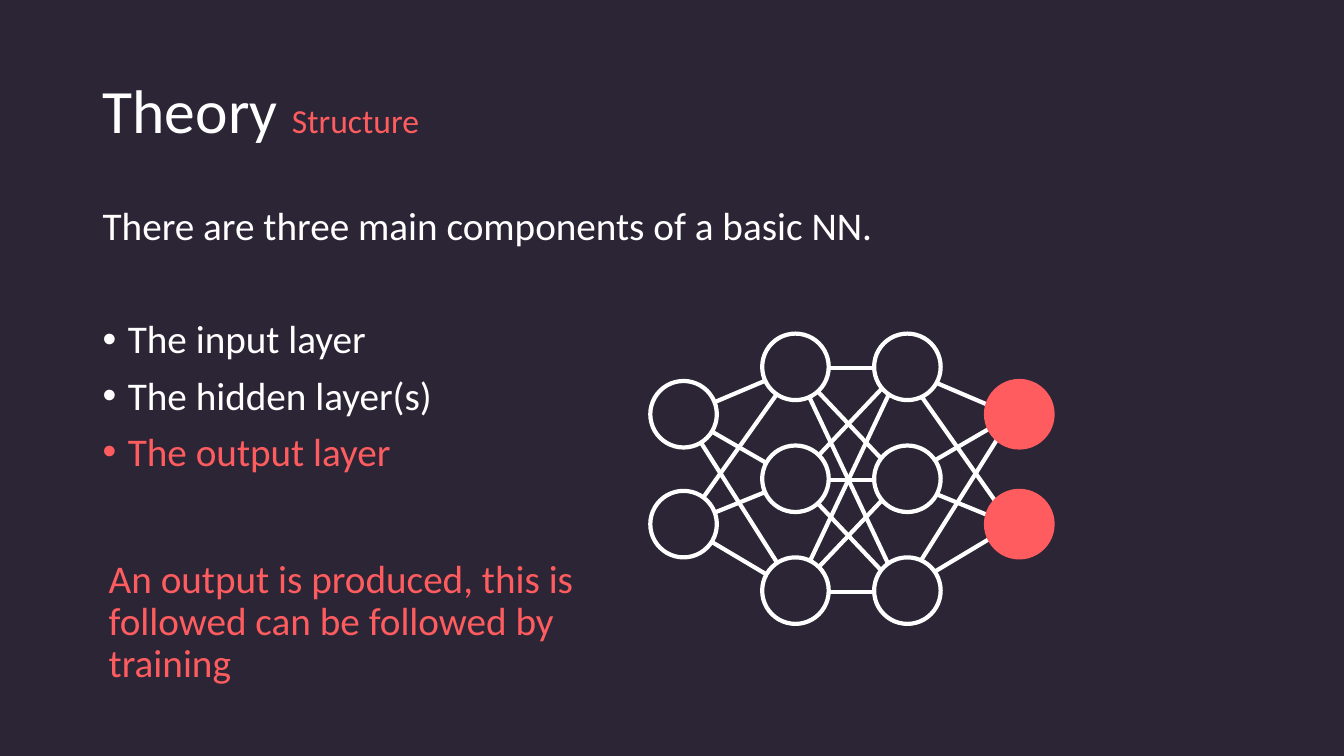
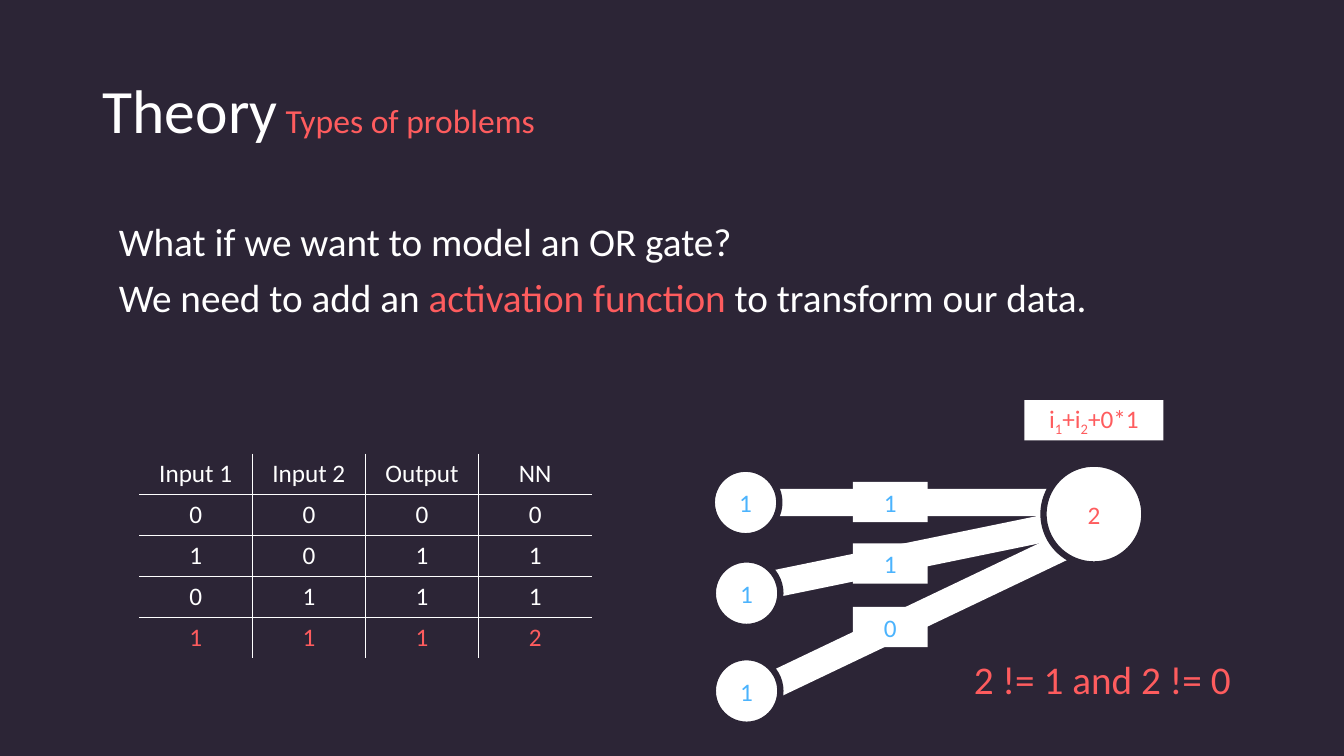
from itertools import product

from lxml.etree import SubElement
from pptx import Presentation
from pptx.dml.color import RGBColor
from pptx.enum.shapes import MSO_CONNECTOR, MSO_SHAPE
from pptx.enum.text import MSO_ANCHOR, PP_ALIGN
from pptx.oxml.ns import qn
from pptx.util import Inches, Pt

DARK = RGBColor(0x2C, 0x25, 0x36)
WHITE = RGBColor(0xFF, 0xFF, 0xFF)
RED = RGBColor(0xFE, 0x5C, 0x5E)
BLUE = RGBColor(0x4B, 0xB3, 0xFD)
FONT = "Calibri"


# Shared text and shape helpers
def style(par, size, color):
    par.font.name = FONT
    par.font.size = Pt(size)
    par.font.color.rgb = color


def add_run(par, text, color=None, size=None, base=None):
    run = par.add_run()
    run.text = text
    if color is not None:
        run.font.color.rgb = color
    if size:
        run.font.size = Pt(size)
    if base:
        run.font._element.set("baseline", str(base))


def add_dot(par, color):
    props = par._p.get_or_add_pPr()
    props.set("marL", str(Inches(0.25)))
    props.set("indent", str(-Inches(0.25)))
    tint = SubElement(props, qn("a:buClr"))
    SubElement(tint, qn("a:srgbClr")).set("val", str(color))
    SubElement(props, qn("a:buFont")).set("typeface", "Arial")
    SubElement(props, qn("a:buChar")).set("char", "•")


def add_box(slide, x, y, w, h, anchor=MSO_ANCHOR.TOP):
    box = slide.shapes.add_textbox(Inches(x), Inches(y), Inches(w), Inches(h))
    frame = box.text_frame
    frame.word_wrap = True
    frame.vertical_anchor = anchor
    return frame


def add_lines(slide, x, y, w, h, lines):
    """Each line is (runs, color, bullet, space before)."""
    frame = add_box(slide, x, y, w, h)
    for i, (runs, color, dot, gap) in enumerate(lines):
        par = frame.add_paragraph() if i else frame.paragraphs[0]
        par.line_spacing = 0.9
        par.space_before = Pt(gap)
        if dot:
            add_dot(par, color)
        style(par, 28, color)
        for run in runs:
            add_run(par, *run)


def add_form(slide, kind, x, y, w, h, fill=WHITE, line=None, width=3):
    form = slide.shapes.add_shape(
        kind, Inches(x), Inches(y), Inches(w), Inches(h))
    form.shadow.inherit = False
    form.fill.solid()
    form.fill.fore_color.rgb = fill
    if line is None:
        form.line.fill.background()
    else:
        form.line.color.rgb = line
        form.line.width = Pt(width)
    return form


def add_label(form, runs, color):
    frame = form.text_frame
    frame.margin_left = frame.margin_right = 0
    frame.margin_top = frame.margin_bottom = Inches(0.05)
    frame.vertical_anchor = MSO_ANCHOR.MIDDLE
    par = frame.paragraphs[0]
    par.alignment = PP_ALIGN.CENTER
    style(par, 18, color)
    for run in runs:
        add_run(par, *run)


def add_edge(slide, x1, y1, x2, y2):
    edge = slide.shapes.add_connector(
        MSO_CONNECTOR.STRAIGHT, Inches(x1), Inches(y1), Inches(x2), Inches(y2))
    edge.line.color.rgb = WHITE
    edge.line.width = Pt(3)
    SubElement(edge._element.spPr, qn("a:effectLst"))


def new_slide(deck, topic, gap):
    """Dark slide with the title and its red topic."""
    slide = deck.slides.add_slide(deck.slide_layouts[6])
    slide.background.fill.solid()
    slide.background.fill.fore_color.rgb = DARK
    frame = add_box(slide, 0.92, 0.4, 11.5, 1.45, MSO_ANCHOR.MIDDLE)
    par = frame.paragraphs[0]
    par.line_spacing = 0.9
    style(par, 44, WHITE)
    add_run(par, "Theory")
    add_run(par, " ", size=gap)
    add_run(par, topic, RED, 24)
    return slide


# Layered network: two inputs, two hidden layers of three, two outputs
def add_net(slide, x, y):
    size, step = 0.66, 1.11
    pair, trio = (0.47, 1.56), (0, step, 2 * step)
    layers = [pair, trio, trio, pair]
    joins = [0.33, 1.44, 2.49, 3.59]
    for i in range(3):
        for top, end in product(layers[i], layers[i + 1]):
            add_edge(slide, x + joins[i], y + top + 0.34,
                     x + joins[i + 1], y + end + 0.34)
    for i, tops in enumerate(layers):
        last = i == len(layers) - 1
        for top in tops:
            add_form(slide, MSO_SHAPE.OVAL, x + i * step, y + top, size, size,
                     RED if last else DARK, RED if last else WHITE)


# Truth table with inner rules only
def add_rule(props, side, shown):
    line = SubElement(props, qn("a:" + side))
    line.set("w", str(Pt(1)))
    if shown:
        fill = SubElement(line, qn("a:solidFill"))
        SubElement(fill, qn("a:srgbClr")).set("val", str(WHITE))
    else:
        SubElement(line, qn("a:noFill"))


def add_grid(slide, x, y, w, h):
    rows = [("Input 1", "Input 2", "Output", "NN"),
            "0000", "1011", "0111", "1112"]
    high, wide = len(rows), len(rows[0])
    table = slide.shapes.add_table(
        high, wide, Inches(x), Inches(y), Inches(w), Inches(h)).table
    table.first_row = table.horz_banding = False
    for r, c in product(range(high), range(wide)):
        cell = table.cell(r, c)
        cell.text = rows[r][c]
        par = cell.text_frame.paragraphs[0]
        par.alignment = PP_ALIGN.CENTER
        style(par, 18, RED if r == high - 1 else WHITE)
        props = cell._tc.get_or_add_tcPr()
        add_rule(props, "lnL", c > 0)
        add_rule(props, "lnR", c < wide - 1)
        add_rule(props, "lnT", r > 0)
        add_rule(props, "lnB", r < high - 1)
        cell.fill.background()


# Single neuron: three weighted inputs and their sum
def add_gate(slide, x, y):
    bars = [(0.39, 1.42, 3.07, -11.6), (0.36, 2, 3.4, -25.5),
            (0.59, 0.88, 2.83, 0)]
    for left, top, wide, turn in bars:
        bar = add_form(slide, MSO_SHAPE.RECTANGLE,
                       x + left, y + top, wide, 0.27)
        bar.rotation = turn
    nodes = [(0, 0.68, 0.67, "1", BLUE), (0.01, 1.58, 0.67, "1", BLUE),
             (0.01, 2.55, 0.67, "1", BLUE), (3.29, 0.63, 1, "2", RED)]
    for left, top, size, text, color in nodes:
        node = add_form(slide, MSO_SHAPE.OVAL, x + left, y + top,
                        size, size, WHITE, DARK, 4.5)
        add_label(node, [(text,)], color)
    for top, text in [(0.81, "1"), (1.42, "1"), (2.05, "0")]:
        tag = add_form(slide, MSO_SHAPE.RECTANGLE,
                       x + 1.4, y + top, 0.74, 0.4)
        add_label(tag, [(text,)], BLUE)
    total = add_form(slide, MSO_SHAPE.RECTANGLE, x + 3.1, y, 1.38, 0.4)
    low = (None, None, -25000)
    add_label(total, [("i",), ("1", *low), ("+i",), ("2", *low), ("+0*1",)],
              RED)


def add_parts(deck):
    slide = new_slide(deck, "Structure", 44)
    add_lines(slide, 0.92, 2, 11.5, 4.76, [
        ([("There are three main components of a basic NN.",)],
         WHITE, False, 10),
        ([("The input layer",)], WHITE, True, 50.7),
        ([("The hidden layer(s)",)], WHITE, True, 10),
        ([("The output layer",)], RED, True, 10)])
    add_net(slide, 6.45, 3.31)
    add_lines(slide, 0.98, 5.5, 5.11, 1.66, [
        ([("An output is produced, this is followed can be followed "
           "by training",)], RED, False, 10)])


def add_types(deck):
    slide = new_slide(deck, "Types of problems", 24)
    add_lines(slide, 1.08, 2.16, 11.5, 1.3, [
        ([("What if we want to model an OR gate?",)], WHITE, False, 10),
        ([("We need to add an ",), ("activation function ", RED),
          ("to transform our data.",)], WHITE, False, 10)])
    add_grid(slide, 1.38, 4.5, 4.49, 2.03)
    add_gate(slide, 7.06, 3.97)
    add_lines(slide, 9.56, 6.5, 3.21, 0.59, [
        ([("2 != 1 and 2 != 0",)], RED, False, 10)])


def main():
    deck = Presentation()
    deck.slide_width = Inches(13.33)
    deck.slide_height = Inches(7.5)
    add_parts(deck)
    add_types(deck)
    deck.save("out.pptx")


if __name__ == "__main__":
    main()
